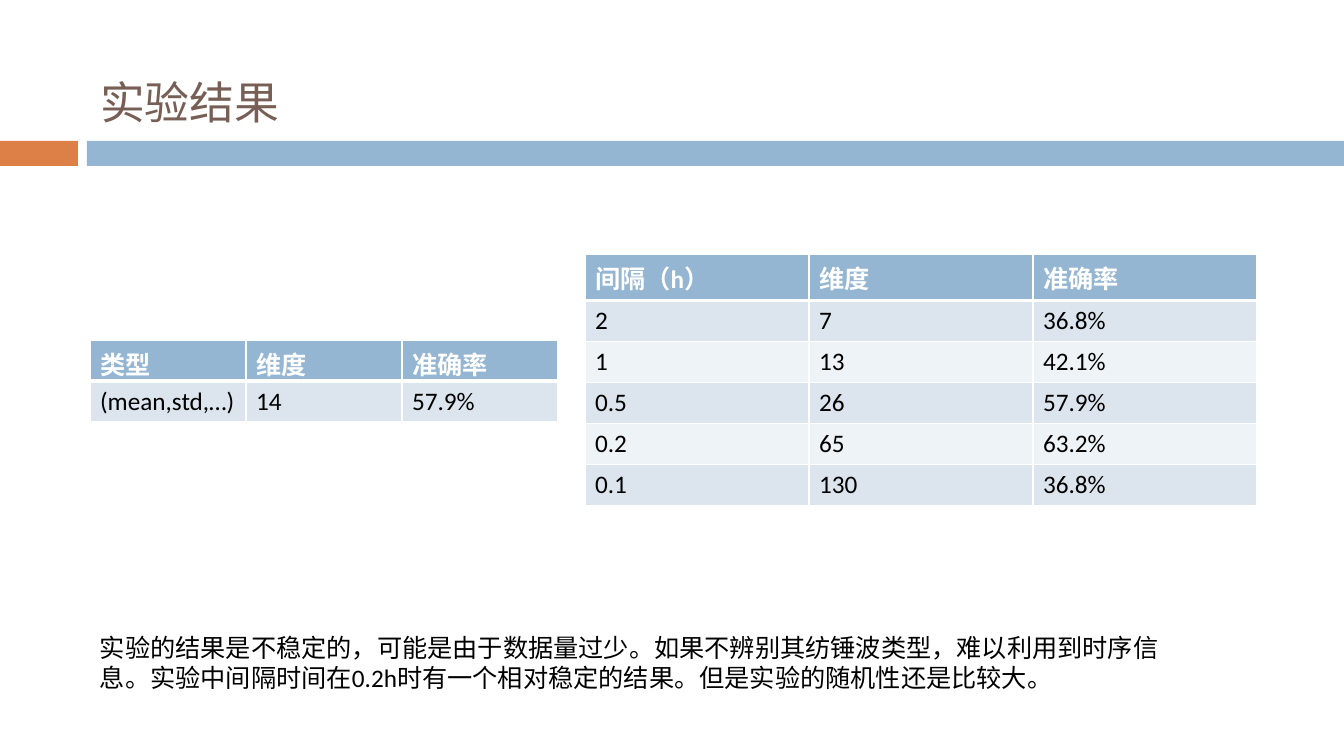
from dataclasses import dataclass

from lxml.etree import SubElement
from pptx import Presentation
from pptx.dml.color import RGBColor
from pptx.enum.shapes import MSO_SHAPE
from pptx.enum.text import MSO_ANCHOR, MSO_AUTO_SIZE, PP_ALIGN
from pptx.oxml.ns import qn
from pptx.util import Emu, Pt


@dataclass(frozen=True)
class Theme:
    font: str = "Calibri"
    title_size: int = 32
    body_size: int = 18
    title: str = "775F55"
    text: str = "000000"
    white: str = "FFFFFF"
    accent: str = "DD8047"
    header: str = "94B6D2"
    bands: tuple = ("DCE5EE", "EEF3F7")
    border: int = 1
    header_border: int = 3


THEME = Theme()
ROW_HEIGHT = 41

INTERVAL_RESULTS = [
    ("间隔（h）", "维度", "准确率"),
    ("2", "7", "36.8%"),
    ("1", "13", "42.1%"),
    ("0.5", "26", "57.9%"),
    ("0.2", "65", "63.2%"),
    ("0.1", "130", "36.8%"),
]
FEATURE_RESULTS = [
    ("类型", "维度", "准确率"),
    ("(mean,std,…)", "14", "57.9%"),
]
CONCLUSION = (
    "实验的结果是不稳定的，可能是由于数据量过少。如果不辨别其纺锤波类型，难以利用到时序信息。"
    "实验中间隔时间在0.2h时有一个相对稳定的结果。但是实验的随机性还是比较大。"
)


def px(length):
    return Emu(round(length * 914400 / 100.8))


def write(frame, content, size, color, bold=False):
    run = frame.paragraphs[0].add_run()
    run.text = content
    run.font.name = THEME.font
    run.font.size = Pt(size)
    run.font.bold = bold
    run.font.color.rgb = RGBColor.from_string(color)


def add_title(slide, box, content):
    title = slide.shapes.title
    title.left, title.top, title.width, title.height = map(px, box)
    frame = title.text_frame
    frame.auto_size = MSO_AUTO_SIZE.NONE
    frame.vertical_anchor = MSO_ANCHOR.BOTTOM
    frame.paragraphs[0].alignment = PP_ALIGN.LEFT
    write(frame, content, THEME.title_size, THEME.title)


def add_divider(slide, box):
    left, top, width, height = box
    accent_width, gap = 78, 9
    band_left = accent_width + gap
    for offset, length, color in (
        (0, accent_width, THEME.accent),
        (band_left, width - band_left, THEME.header),
    ):
        bar = slide.shapes.add_shape(
            MSO_SHAPE.RECTANGLE, px(left + offset), px(top), px(length), px(height)
        )
        bar.shadow.inherit = False
        bar.fill.solid()
        bar.fill.fore_color.rgb = RGBColor.from_string(color)
        bar.line.fill.background()


def set_borders(cell, top, bottom):
    properties = cell._tc.get_or_add_tcPr()
    sides = {"L": THEME.border, "R": THEME.border, "T": top, "B": bottom}
    for position, (side, points) in enumerate(sides.items()):
        line = SubElement(properties, qn(f"a:ln{side}"), w=str(Pt(points)))
        color_fill = SubElement(line, qn("a:solidFill"))
        SubElement(color_fill, qn("a:srgbClr"), val=THEME.white)
        properties.insert(position, line)


def add_results(slide, box, records):
    left, top, width = box
    columns = len(records[0])
    table = slide.shapes.add_table(
        len(records), columns, px(left), px(top), px(width), px(ROW_HEIGHT * len(records))
    ).table
    for column in table.columns:
        column.width = px(width // columns)
    for row_index, record in enumerate(records):
        table.rows[row_index].height = px(ROW_HEIGHT)
        is_header = row_index == 0
        fill = THEME.header if is_header else THEME.bands[(row_index - 1) % 2]
        for column_index, content in enumerate(record):
            cell = table.cell(row_index, column_index)
            cell.fill.solid()
            cell.fill.fore_color.rgb = RGBColor.from_string(fill)
            set_borders(
                cell,
                THEME.header_border if row_index == 1 else THEME.border,
                THEME.header_border if is_header else THEME.border,
            )
            color = THEME.white if is_header else THEME.text
            write(cell.text_frame, content, THEME.body_size, color, is_header)


def add_conclusion(slide, box, content):
    frame = slide.shapes.add_textbox(*map(px, box)).text_frame
    frame.word_wrap = True
    frame.auto_size = MSO_AUTO_SIZE.SHAPE_TO_FIT_TEXT
    write(frame, content, THEME.body_size, THEME.text)


def main():
    deck = Presentation()
    deck.slide_width, deck.slide_height = px(1344), px(756)
    slide = deck.slides.add_slide(deck.slide_layouts[5])
    add_divider(slide, (0, 141, 1344, 25))
    add_title(slide, (90, 25, 1199, 109), "实验结果")
    add_results(slide, (585, 254, 672), INTERVAL_RESULTS)
    add_conclusion(slide, (90, 627, 1088, 71), CONCLUSION)
    add_results(slide, (90, 340, 468), FEATURE_RESULTS)
    deck.save("out.pptx")


if __name__ == "__main__":
    main()
